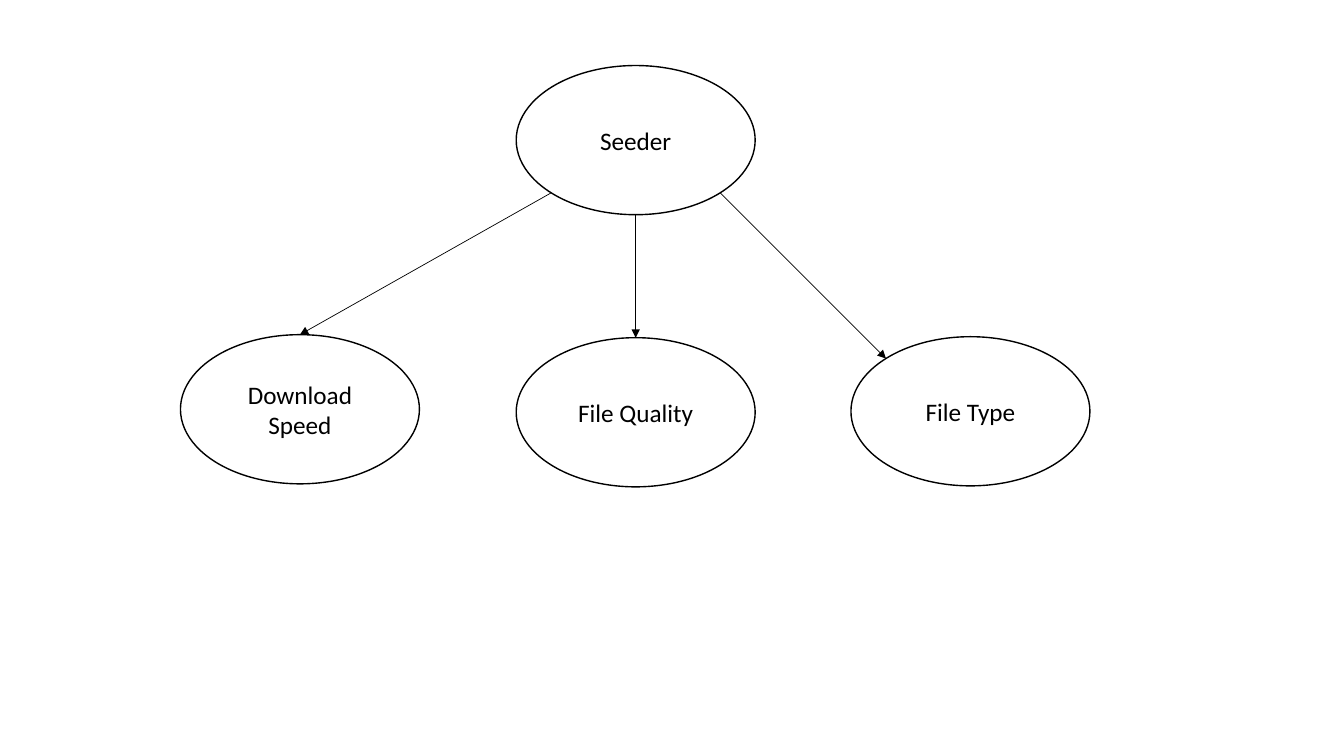
from dataclasses import dataclass
from math import cos, radians, sin

from lxml.etree import SubElement
from pptx import Presentation
from pptx.dml.color import RGBColor
from pptx.enum.shapes import MSO_CONNECTOR as Connector, MSO_SHAPE as Shape
from pptx.enum.text import MSO_ANCHOR as Anchor, PP_ALIGN as Align
from pptx.oxml.ns import qn
from pptx.util import Inches, Pt


@dataclass(frozen=True)
class Theme:
    ink: RGBColor = RGBColor(0, 0, 0)
    font: str = "Calibri"
    label_size: float = 18
    outline: float = 1
    arrow: float = 0.5


# Ellipse connection sites, counted anticlockwise from the top in steps of 45 degrees
TOP, TOP_LEFT, BOTTOM_LEFT, BOTTOM, BOTTOM_RIGHT = 0, 1, 3, 4, 5


def site_point(node, site):
    """Return the position of a connection site on an ellipse."""
    angle = radians(45 * site)
    x = node.left + node.width / 2 * (1 - sin(angle))
    y = node.top + node.height / 2 * (1 - cos(angle))
    return round(x), round(y)


def write_text(frame, text, *, size, font, color, align=Align.CENTER):
    frame.word_wrap = True
    frame.vertical_anchor = Anchor.MIDDLE
    para = frame.paragraphs[0]
    para.alignment = align
    span = para.add_run()
    span.text = text
    span.font.size = Pt(size)
    span.font.name = font
    span.font.color.rgb = color


class Diagram:
    def __init__(self, page, theme):
        self.page = page
        self.theme = theme

    def node(self, text, left, top, width=2.37, height=1.48):
        box = self.page.shapes.add_shape(
            Shape.OVAL, Inches(left), Inches(top), Inches(width), Inches(height))
        box.shadow.inherit = False
        box.fill.background()
        box.line.color.rgb = self.theme.ink
        box.line.width = Pt(self.theme.outline)
        write_text(box.text_frame, text, size=self.theme.label_size,
                   font=self.theme.font, color=self.theme.ink)
        return box

    def arrow(self, source, source_site, target, target_site):
        line = self.page.shapes.add_connector(
            Connector.STRAIGHT, *site_point(source, source_site),
            *site_point(target, target_site))
        line.line.color.rgb = self.theme.ink
        line.line.width = Pt(self.theme.arrow)
        # Arrowhead and empty effect list
        outline = line._element.spPr.find(qn("a:ln"))
        SubElement(outline, qn("a:tailEnd"), type="triangle")
        SubElement(line._element.spPr, qn("a:effectLst"))
        # Attach both ends so the arrow follows its nodes
        links = line._element.find(".//" + qn("p:cNvCxnSpPr"))
        for tag, node, site in (("a:stCxn", source, source_site),
                                ("a:endCxn", target, target_site)):
            SubElement(links, qn(tag), id=str(node.shape_id), idx=str(site))
        return line


deck = Presentation()
deck.slide_width, deck.slide_height = Inches(13.33), Inches(7.5)
diagram = Diagram(deck.slides.add_slide(deck.slide_layouts[6]), Theme())

# Root and its three attributes
seeder = diagram.node("Seeder", 5.12, 0.65)
speed = diagram.node("Download Speed", 1.79, 3.32)
quality = diagram.node("File Quality", 5.12, 3.35)
file_type = diagram.node("File Type", 8.44, 3.34)

# Arrows from the root to each attribute
for start, attribute, end in ((BOTTOM_LEFT, speed, TOP),
                              (BOTTOM, quality, TOP),
                              (BOTTOM_RIGHT, file_type, TOP_LEFT)):
    diagram.arrow(seeder, start, attribute, end)

deck.save("out.pptx")
